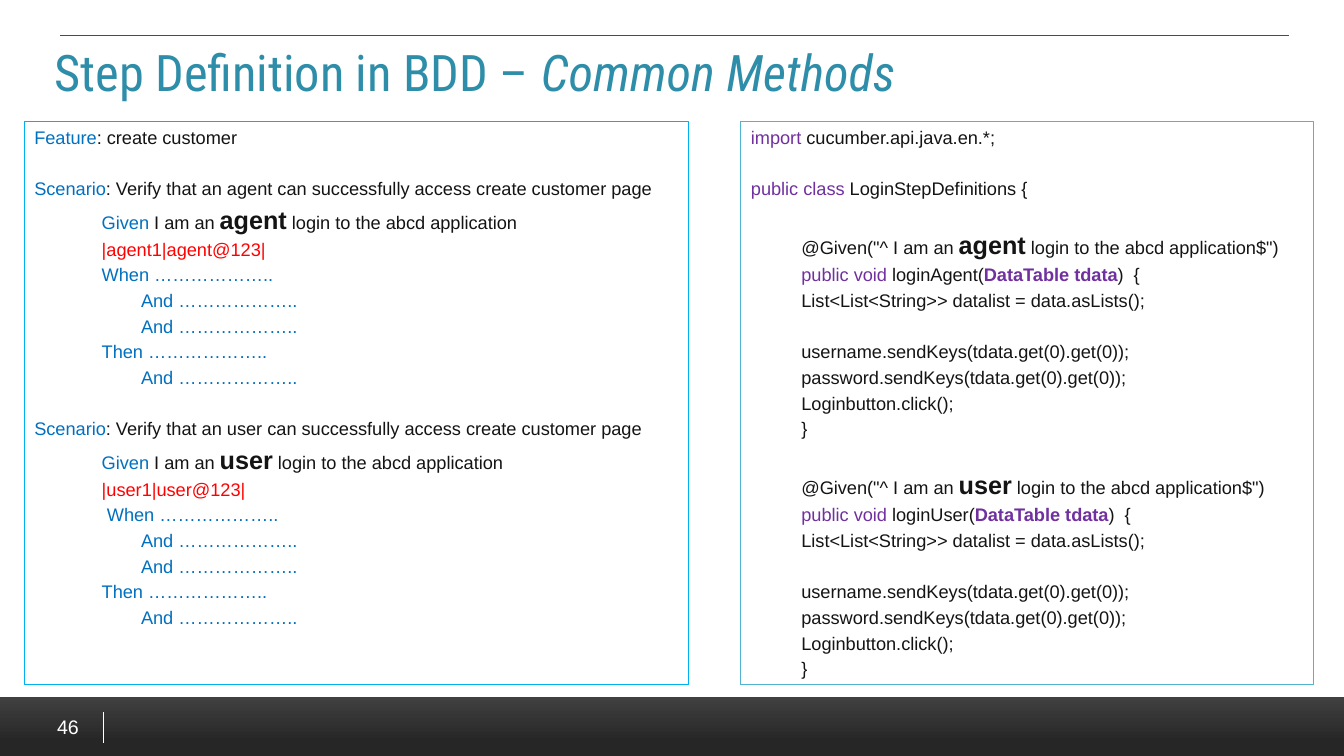
from lxml.etree import SubElement
from pptx import Presentation
from pptx.dml.color import RGBColor
from pptx.enum.shapes import MSO_CONNECTOR, MSO_SHAPE
from pptx.enum.text import MSO_ANCHOR, MSO_AUTO_SIZE, PP_ALIGN
from pptx.oxml.ns import qn
from pptx.util import Cm, Pt

# Content: a line is (indent in cm, blank line above, spans); a span is (style, text)
STYLES = {
    "plain": {"color": "141414"},
    "strong": {"color": "141414", "size": Pt(18), "bold": True},
    "keyword": {"color": "0070C0"},
    "data": {"color": "FF0000"},
    "java": {"color": "7030A0"},
    "java strong": {"color": "7030A0", "bold": True},
    "title": {"color": "2E8EA9", "size": Pt(36), "name": "Roboto Condensed"},
    "title italic": {"color": "2E8EA9", "size": Pt(36), "name": "Roboto Condensed", "italic": True},
    "number": {"color": "FFFFFF", "size": Pt(14)},
}
TITLE = [("title", "Step Definition in BDD – "), ("title italic", "Common Methods")]
PAGE_NUMBER = [("number", "46")]
DOTS = "……………….."
STEP, SUBSTEP, METHOD = 1.7, 2.69, 1.27


def scenario(role, when_indent):
    """Gherkin lines of the login scenario for one role."""
    steps = [(when_indent, "When"), (SUBSTEP, "And"), (SUBSTEP, "And"),
             (STEP, "Then"), (SUBSTEP, "And")]
    return [
        (0, True, [("keyword", "Scenario"),
                   ("plain", f": Verify that an {role} can successfully access create customer page")]),
        (STEP, False, [("keyword", "Given"), ("plain", " I am an "), ("strong", role),
                       ("plain", " login to the abcd application")]),
        (STEP, False, [("data", f"|{role}1|{role}@123|")]),
    ] + [(indent, False, [("keyword", f"{word} {DOTS}")]) for indent, word in steps]


def login_method(role):
    """Java lines of the step definition for one role."""
    body = [(False, "List<List<String>> datalist = data.asLists();"),
            (True, "username.sendKeys(tdata.get(0).get(0));"),
            (False, "password.sendKeys(tdata.get(0).get(0));"),
            (False, "Loginbutton.click();"),
            (False, "}")]
    return [
        (METHOD, True, [("plain", '@Given("^ I am an '), ("strong", role),
                        ("plain", ' login to the abcd application$")')]),
        (METHOD, False, [("java", "public void "), ("plain", f"login{role.capitalize()}("),
                         ("java strong", "DataTable tdata"), ("plain", ")  {")]),
    ] + [(METHOD, gap, [("plain", code)]) for gap, code in body]


FEATURE = [
    (0, False, [("keyword", "Feature"), ("plain", ": create customer")]),
    *scenario("agent", STEP),
    *scenario("user", STEP + 0.13),
]
STEP_CLASS = [
    (0, False, [("java", "import "), ("plain", "cucumber.api.java.en.*;")]),
    (0, True, [("java", "public class "), ("plain", "LoginStepDefinitions {")]),
    *login_method("agent"),
    *login_method("user"),
]
PANELS = [  # left, width, outline, lines
    (0.61, 16.75, "00B0F0", FEATURE),
    (18.67, 14.43, "50B3CF", STEP_CLASS),
]
PANEL_TOP, PANEL_HEIGHT = 3.05, 14.2
RULES = [  # from x, from y, to x, to y, colour
    (2.6, 17.95, 2.6, 18.71, "FFFFFF"),
    (1.52, 0.89, 32.49, 0.89, "008000"),
]
# Spacing in points
LINE_GAP, LARGE_LINE_GAP, BLANK_LINE = 2.7, 3.4, 18.3


def rgb(color):
    return RGBColor.from_string(color)


def place(box, left, top, width, height):
    box.left, box.top, box.width, box.height = Cm(left), Cm(top), Cm(width), Cm(height)


def add_spans(para, spans):
    for style, text in spans:
        span = para.add_run()
        span.text = text
        looks = {"name": "Arial", "size": Pt(13), "bold": False, **STYLES[style]}
        span.font.color.rgb = rgb(looks.pop("color"))
        for key, value in looks.items():
            setattr(span.font, key, value)


def set_frame(box, anchor):
    settings = {"word_wrap": True, "auto_size": MSO_AUTO_SIZE.NONE, "vertical_anchor": anchor}
    for key, value in settings.items():
        setattr(box.text_frame, key, value)
    return box.text_frame


def add_line(page, x1, y1, x2, y2, color):
    rule = page.shapes.add_connector(MSO_CONNECTOR.STRAIGHT, Cm(x1), Cm(y1), Cm(x2), Cm(y2))
    rule.line.color.rgb = rgb(color)
    rule.line.width = Pt(0.5)
    SubElement(rule._element.spPr, qn("a:effectLst"))


def fill_panel(box, left, width, outline, lines):
    place(box, left, PANEL_TOP, width, PANEL_HEIGHT)
    box.line.color.rgb = rgb(outline)
    box.line.width = Pt(0.75)
    frame = set_frame(box, MSO_ANCHOR.TOP)
    for number, (indent, gap, spans) in enumerate(lines):
        para = frame.add_paragraph() if number else frame.paragraphs[0]
        properties = para._p.get_or_add_pPr()
        properties.set("marL", str(Cm(indent)))
        properties.set("indent", "0")
        SubElement(properties, qn("a:buNone"))
        large = any(style == "strong" for style, _ in spans)
        before = (LARGE_LINE_GAP if large else LINE_GAP) + (BLANK_LINE if gap else 0)
        para.space_before = Pt(before if number else 0)
        add_spans(para, spans)


def add_footer(page):
    bar = page.shapes.add_shape(MSO_SHAPE.RECTANGLE, 0, Cm(17.57), Cm(33.87), Cm(1.48))
    bar.shadow.inherit = False
    bar.line.fill.background()
    bar.fill.gradient()
    bar.fill.gradient_angle = 90
    for stop, (position, color) in zip(bar.fill.gradient_stops, [(0.24, "262626"), (1, "404040")]):
        stop.position = position
        stop.color.rgb = rgb(color)
    box = page.shapes.add_textbox(Cm(0.61), Cm(17.71), Cm(1.63), Cm(1.19))
    para = set_frame(box, MSO_ANCHOR.MIDDLE).paragraphs[0]
    para.alignment = PP_ALIGN.RIGHT
    add_spans(para, PAGE_NUMBER)


def main():
    deck = Presentation()
    deck.slide_width, deck.slide_height = Cm(33.87), Cm(19.05)
    page = deck.slides.add_slide(deck.slide_layouts.get_by_name("Two Content"))
    add_footer(page)
    for rule in RULES:
        add_line(page, *rule)
    title, *boxes = page.placeholders
    place(title, 1.12, 0.91, 31.34, 1.68)
    para = set_frame(title, MSO_ANCHOR.TOP).paragraphs[0]
    para.alignment = PP_ALIGN.LEFT
    add_spans(para, TITLE)
    for box, panel in zip(boxes, PANELS):
        fill_panel(box, *panel)
    deck.save("out.pptx")


if __name__ == "__main__":
    main()
